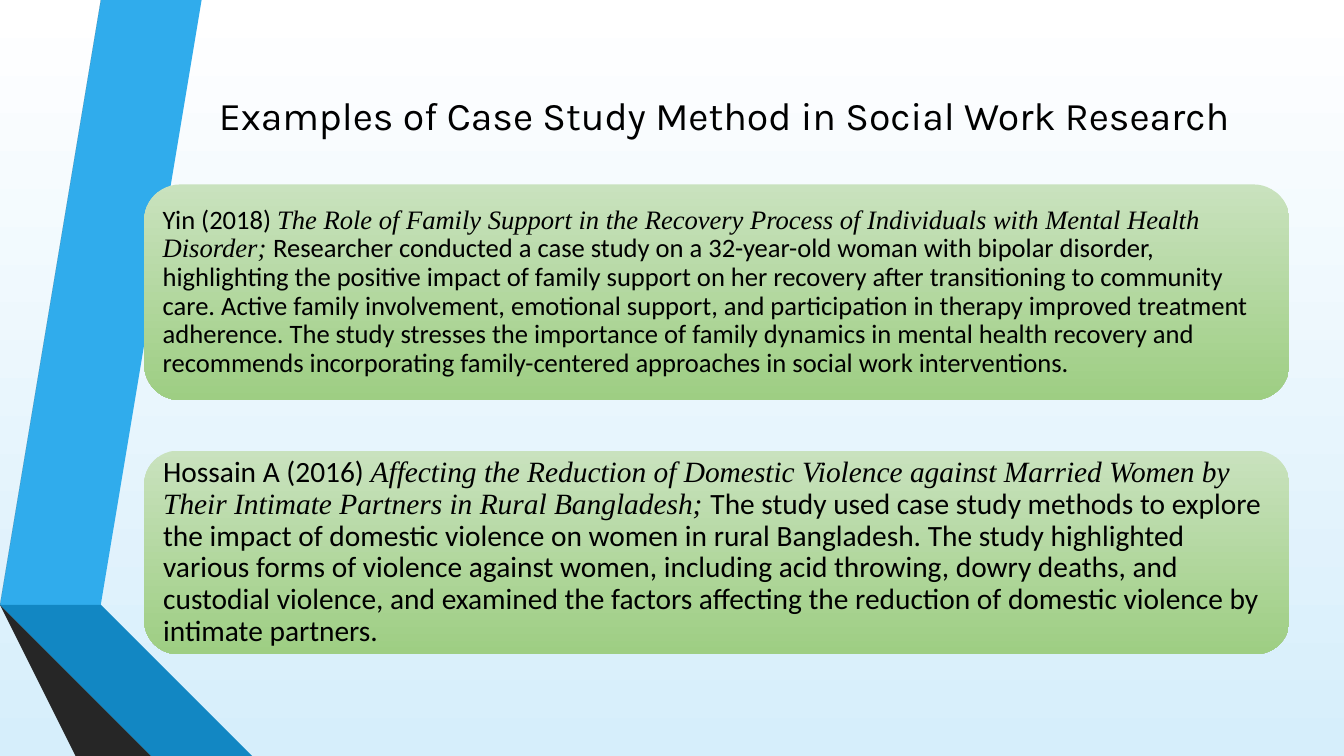
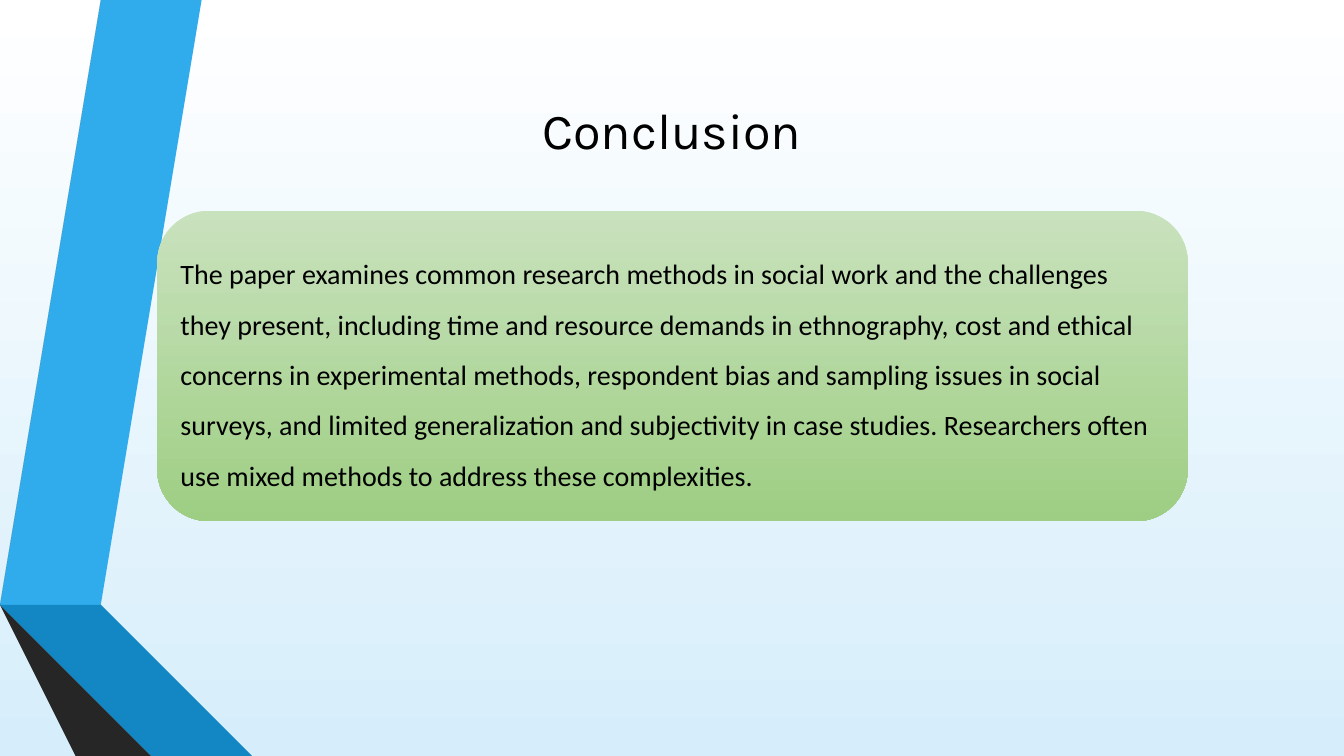
"""Build two slides on case studies with a shared ribbon, title style and green panels."""
from dataclasses import dataclass

from pptx import Presentation
from pptx import util as u
from pptx.dml.color import RGBColor
from pptx.enum import shapes, text


@dataclass(frozen=True)
class Theme:
    ink: str = "000000"
    sky: tuple = ("FFFFFF", "D6EEFB")
    leaf: tuple = ("C9E2BE", "9ECE83")
    head: str = "Karla"
    body: str = "Calibri"
    cite: str = "Times New Roman"
    title: int = 28
    large: int = 36
    small: int = 19
    base: int = 20
    lead: int = 21


BANDS = {
    "30ACEC": [(0.5, 5.78), (0.77, 5.83), (1.73, 0), (1.45, 0)],
    "595959": [(1.39, 0), (1.11, 0), (0.16, 5.73), (0.44, 5.77)],
    "262626": [(0.16, 5.73), (1.45, 7.5), (1.51, 7.5)],
    "0C5A82": [(0.5, 5.79), (2.08, 7.5), (2.14, 7.5)],
    "1287C3": [(0.5, 5.79), (2.14, 7.5), (2.83, 7.5), (0.77, 5.83), (0.5, 5.78)],
    "404040": [(2.02, 7.5), (0.48, 5.83), (0.43, 5.78), (0.44, 5.77), (0.16, 5.73), (1.51, 7.5)],
}


def dress(item, form):
    for name, value in form.items():
        setattr(item, name, value)


def shade(fill, pair):
    fill.gradient()
    fill.gradient_angle = 270
    for stop, tone in zip(fill.gradient_stops, pair):
        stop.color.rgb = RGBColor.from_string(tone)


class Deck:
    def __init__(self, theme):
        self.theme = theme
        self.prs = Presentation()
        dress(self.prs, {"slide_width": u.Inches(13.33), "slide_height": u.Inches(7.5)})
        shade(self.prs.slide_master.background.fill, theme.sky)
        self.slide = None

    def page(self, title, box, size):
        self.slide = self.prs.slides.add_slide(self.prs.slide_layouts[5])
        for tone, points in BANDS.items():
            self.band(tone, points)
        self.title(title, box, size)

    def plain(self, shape):
        shape.shadow.inherit = False
        shape.line.fill.background()

    def band(self, tone, points):
        start, *rest = points
        pen = self.slide.shapes.build_freeform(*start, scale=u.Inches(1))
        pen.add_line_segments(rest, close=True)
        shape = pen.convert_to_shape()
        shape.fill.solid()
        shape.fill.fore_color.rgb = RGBColor.from_string(tone)
        self.plain(shape)

    def place(self, shape, box):
        dress(shape, dict(zip(("left", "top", "width", "height"), map(u.Inches, box))))

    def add_words(self, para, words, size, font, slant=False):
        run = para.add_run()
        run.text = words
        dress(run.font, {"name": font, "size": u.Pt(size), "italic": slant})
        run.font.color.rgb = RGBColor.from_string(self.theme.ink)

    def title(self, words, box, size):
        shape = self.slide.shapes.title
        self.place(shape, box)
        frame = shape.text_frame
        dress(frame, {"word_wrap": True, "auto_size": text.MSO_AUTO_SIZE.NONE,
                      "vertical_anchor": text.MSO_ANCHOR.BOTTOM})
        para = frame.paragraphs[0]
        para.alignment = text.PP_ALIGN.CENTER
        self.add_words(para, words, size, self.theme.head)

    def panel(self, parts, box, size, pad=0.08, space=0.9):
        shape = self.slide.shapes.add_shape(
            shapes.MSO_SHAPE.ROUNDED_RECTANGLE, *map(u.Inches, box))
        shade(shape.fill, self.theme.leaf)
        self.plain(shape)
        frame = shape.text_frame
        dress(frame, {"word_wrap": True, "vertical_anchor": text.MSO_ANCHOR.MIDDLE})
        sides = ("left", "top", "right", "bottom")
        dress(frame, {f"margin_{side}": u.Inches(pad) for side in sides})
        para = frame.paragraphs[0]
        dress(para, {"alignment": text.PP_ALIGN.LEFT, "line_spacing": space})
        for words, slant in parts:
            font = self.theme.cite if slant else self.theme.body
            self.add_words(para, words, size, font, slant)


def main():
    theme = Theme()
    deck = Deck(theme)

    deck.page("Examples of Case Study Method in Social Work Research",
              (1.57, -0.11, 11.22, 1.53), theme.title)
    deck.panel([
        ("Yin (2018) ", False),
        ("The Role of Family Support in the Recovery Process of Individuals "
         "with Mental Health Disorder; ", True),
        ("Researcher conducted a case study on a 32-year-old woman with bipolar "
         "disorder, highlighting the positive impact of family support on her recovery "
         "after transitioning to community care. Active family involvement, emotional "
         "support, and participation in therapy improved treatment adherence. The study "
         "stresses the importance of family dynamics in mental health recovery and "
         "recommends incorporating family-centered approaches in social work "
         "interventions.", False),
    ], (1.43, 1.83, 11.36, 2.14), theme.small)
    deck.panel([
        ("Hossain A (2016) ", False),
        ("Affecting the Reduction of Domestic Violence against Married Women by "
         "Their Intimate Partners in Rural Bangladesh; ", True),
        ("The study used case study methods to explore the impact of domestic violence "
         "on women in rural Bangladesh. The study highlighted various forms of violence "
         "against women, including acid throwing, dowry deaths, and custodial violence, "
         "and examined the factors affecting the reduction of domestic violence by "
         "intimate partners.", False),
    ], (1.43, 4.47, 11.36, 2.02), theme.lead, pad=0.09)

    deck.page("Conclusion", (3.7, 0.13, 5.93, 1.5), theme.large)
    deck.panel([
        ("The paper examines common research methods in social work and the challenges "
         "they present, including time and resource demands in ethnography, cost and "
         "ethical concerns in experimental methods, respondent bias and sampling issues "
         "in social surveys, and limited generalization and subjectivity in case "
         "studies. Researchers often use mixed methods to address these complexities.",
         False),
    ], (1.56, 2.09, 10.22, 3.08), theme.base, space=1.5)

    deck.prs.save("out.pptx")


if __name__ == "__main__":
    main()
